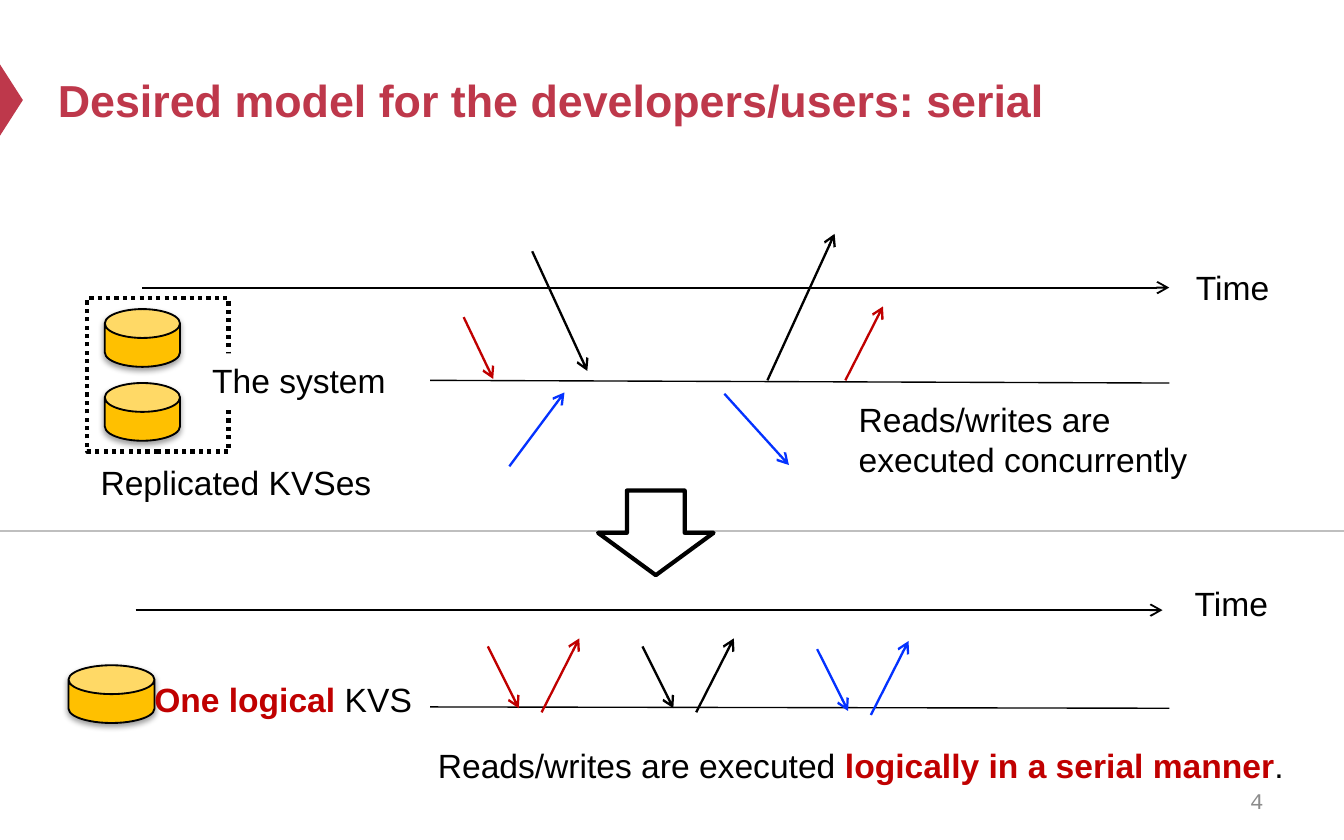
from lxml.etree import SubElement
from pptx import Presentation
from pptx.dml.color import RGBColor
from pptx.enum.dml import MSO_LINE
from pptx.enum.shapes import MSO_CONNECTOR, MSO_SHAPE
from pptx.enum.text import MSO_ANCHOR, MSO_AUTO_SIZE, PP_ALIGN
from pptx.oxml.ns import qn
from pptx.util import Pt

PX = 9144  # 100 px to the inch

BLACK = RGBColor(0x00, 0x00, 0x00)
WHITE = RGBColor(0xFF, 0xFF, 0xFF)
CRIMSON = RGBColor(0xBE, 0x38, 0x4B)
RED = RGBColor(0xC0, 0x00, 0x00)
BLUE = RGBColor(0x04, 0x32, 0xFF)
GOLD = RGBColor(0xFF, 0xC0, 0x00)
SILVER = RGBColor(0xBF, 0xBF, 0xBF)
GREY = RGBColor(0x8C, 0x8C, 0x8C)

# Content: boxes are left, top, width, height; lines are x1, y1, x2, y2
TITLE = "Desired model for the developers/users: serial"
NUMBER = "4"
LABELS = [
    ((880, 194, 139, 40), [("Time", BLACK)]),
    ((65, 339, 239, 40), [("Replicated KVSes", BLACK)]),
    ((629, 292, 292, 71), [("Reads/writes are executed concurrently", BLACK)]),
    ((879, 429, 139, 40), [("Time", BLACK)]),
    ((105, 500, 237, 40), [("One logical", RED), (" KVS", BLACK)]),
    ((316, 549, 684, 40), [("Reads/writes are executed ", BLACK),
                           ("logically in a serial manner", RED),
                           (".", BLACK)]),
]
CANS = [(78, 230, 56, 43), (78, 285, 56, 43), (51, 495, 64, 43)]
AXES = [(106, 214, 870, 214), (101, 454, 865, 454)]
TRACKS = [(320, 283, 870, 285), (320, 526, 870, 527)]
CALLS = [
    ((345, 236, 367, 282), RED), ((629, 283, 657, 228), RED),
    ((396, 187, 437, 276), BLACK), ((571, 283, 621, 174), BLACK),
    ((379, 347, 420, 292), BLUE), ((539, 293, 587, 346), BLUE),
]
SERIAL = [(363, 481, RED), (478, 481, BLACK), (608, 483, BLUE)]

deck = Presentation()
deck.slide_width, deck.slide_height = 1000 * PX, 625 * PX
slide = deck.slides.add_slide(deck.slide_layouts[5])
shapes = slide.shapes


def scale(box):
    return [n * PX for n in box]


def style(run, size, color, bold=False, face="Arial"):
    font = run.font
    font.name, font.size, font.bold = face, Pt(size), bold
    font.color.rgb = color


def write(box, parts):
    label = shapes.add_textbox(*scale(box))
    frame = label.text_frame
    frame.word_wrap = True
    for text, color in parts:
        run = frame.paragraphs[0].add_run()
        run.text = text
        style(run, 18, color, color == RED)
    return label


def draw(kind, box, fill=None, line=None, width=1):
    shape = shapes.add_shape(kind, *scale(box))
    shape.shadow.inherit = False
    if fill is None:
        shape.fill.background()
    else:
        shape.fill.solid()
        shape.fill.fore_color.rgb = fill
    if line is None:
        shape.line.fill.background()
    else:
        shape.line.color.rgb = line
        shape.line.width = Pt(width)
    return shape


def rule(ends, color, width, arrow=False):
    line = shapes.add_connector(MSO_CONNECTOR.STRAIGHT, *scale(ends))
    line.line.color.rgb = color
    line.line.width = Pt(width)
    props = line._element.spPr
    if arrow:
        SubElement(props.find(qn("a:ln")), qn("a:tailEnd"), type="arrow")
    SubElement(props, qn("a:effectLst"))


def can(box):
    shape = draw(MSO_SHAPE.CAN, box, GOLD, BLACK)
    shape.adjustments[0] = 0.5
    glow = shape._element.spPr.find(qn("a:effectLst"))
    shade = SubElement(glow, qn("a:outerShdw"), blurRad="40000", dist="20000",
                       dir="5400000", rotWithShape="0")
    tint = SubElement(shade, qn("a:srgbClr"), val="000000")
    SubElement(tint, qn("a:alpha"), val="38000")


# Title with its marker
marker = draw(MSO_SHAPE.ISOSCELES_TRIANGLE, (-18, 66, 53, 17), CRIMSON)
marker.rotation = 90
title = shapes.title
title.left, title.top, title.width, title.height = scale((33, 25, 900, 98))
frame = title.text_frame
frame.text = TITLE
frame.auto_size = MSO_AUTO_SIZE.NONE
frame.vertical_anchor = MSO_ANCHOR.MIDDLE
frame.paragraphs[0].alignment = PP_ALIGN.LEFT
style(frame.paragraphs[0].runs[0], 24, CRIMSON, True)

# Slide number
page = write((717, 579, 233, 33), [(NUMBER, GREY)]).text_frame
page.vertical_anchor = MSO_ANCHOR.MIDDLE
page.paragraphs[0].alignment = PP_ALIGN.RIGHT
style(page.paragraphs[0].runs[0], 12, GREY, face="Courier New")

# Divider and the arrow across it
rule((-20, 395, 1019, 395), SILVER, 0.75)
draw(MSO_SHAPE.DOWN_ARROW, (445, 365, 86, 63), WHITE, BLACK, 2.25)

# The system: stores in a dotted frame, its label over the edge
for box in CANS:
    can(box)
group = draw(MSO_SHAPE.RECTANGLE, (65, 222, 105, 114), None, BLACK, 2.25)
group.line.dash_style = MSO_LINE.ROUND_DOT
system = write((148, 263, 172, 40), [("The system", BLACK)])
system.fill.solid()
system.fill.fore_color.rgb = WHITE

# Time axes and tracks
for ends in AXES:
    rule(ends, BLACK, 1, True)
for ends in TRACKS:
    rule(ends, BLACK, 0.75)

# Concurrent calls, then serial ones as request and reply pairs
for ends, color in CALLS:
    rule(ends, color, 1.25, True)
for x, y, color in SERIAL:
    rule((x, y, x + 23, y + 46), color, 1.25, True)
    rule((x + 40, y + 49, x + 68, y - 6), color, 1.25, True)

for box, parts in LABELS:
    write(box, parts)

deck.save("out.pptx")
